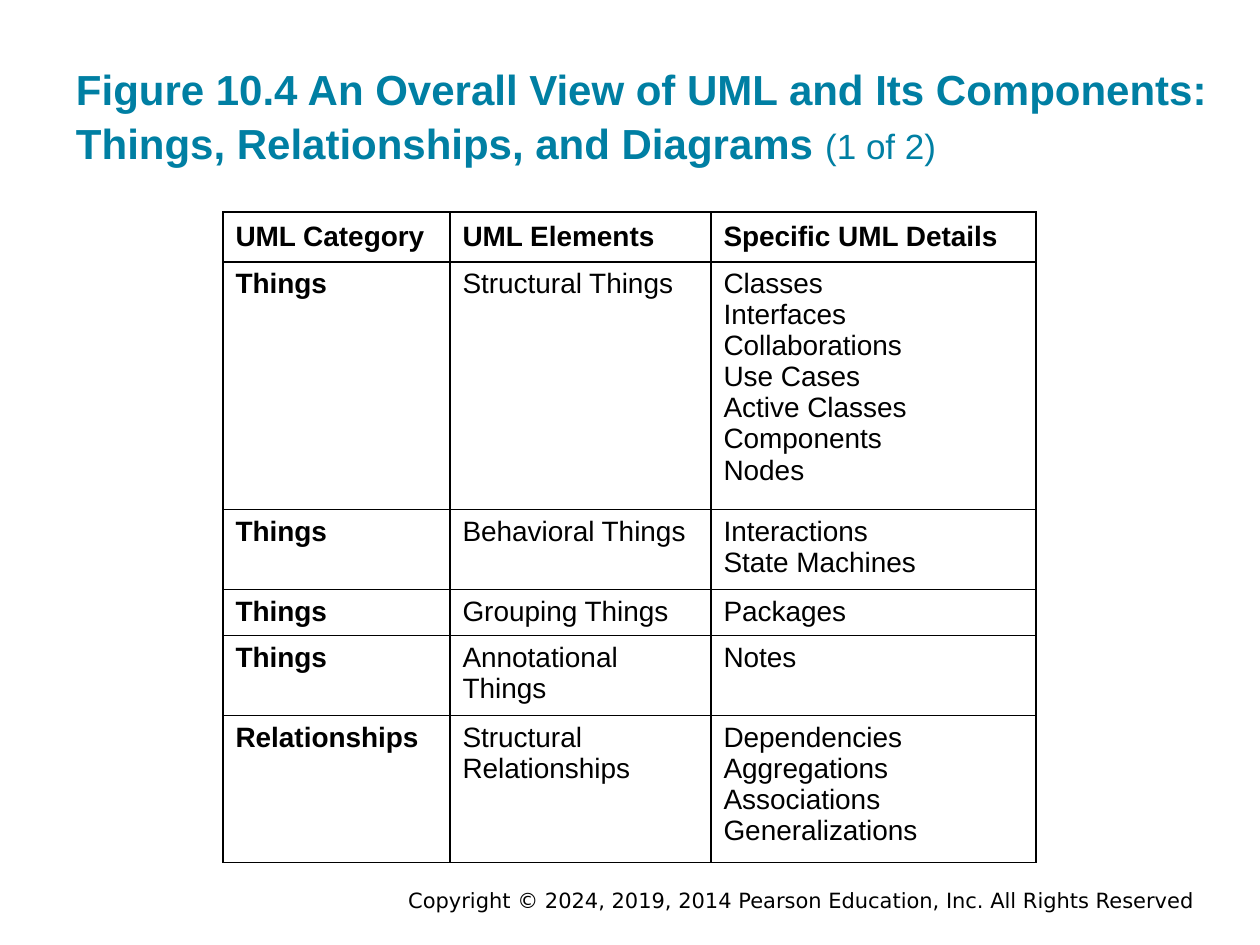
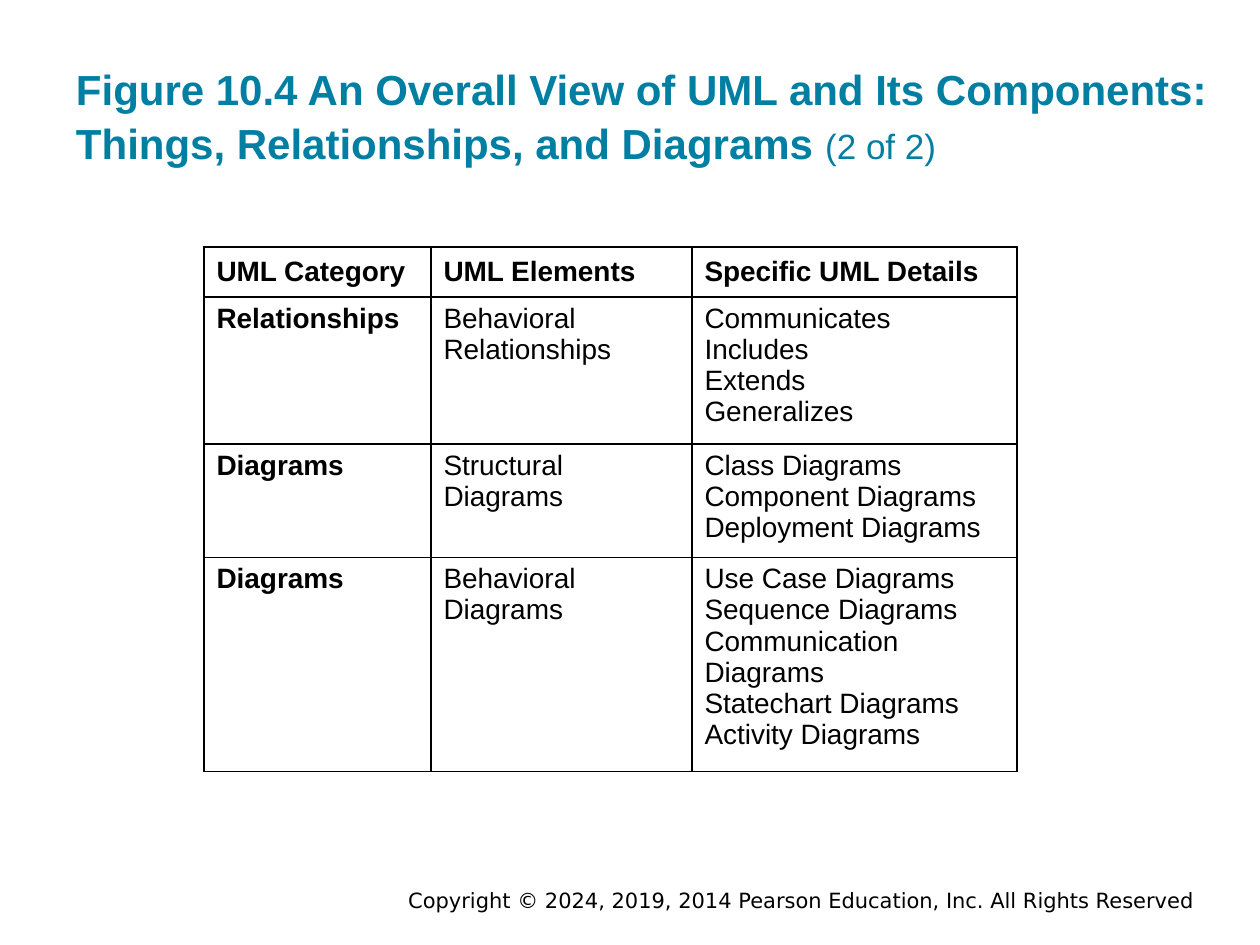
from lxml import etree
from pptx import Presentation
from pptx.dml.color import RGBColor
from pptx.enum.text import MSO_ANCHOR, MSO_AUTO_SIZE, PP_ALIGN
from pptx.oxml.ns import qn
from pptx.util import Pt

LEFT, RIGHT = PP_ALIGN.LEFT, PP_ALIGN.RIGHT
TOP, MIDDLE, BOTTOM = MSO_ANCHOR.TOP, MSO_ANCHOR.MIDDLE, MSO_ANCHOR.BOTTOM
NO_FIT = MSO_AUTO_SIZE.NONE
TITLE_ONLY = 5

TEAL, BLACK, WHITE = "007FA3", "000000", "FFFFFF"
BODY_FONT, FOOTER_FONT = "Arial", "DejaVu Sans"

HEADING = "Figure 10.4 An Overall View of UML and Its Components: Things, Relationships, and Diagrams "
COPYRIGHT = "Copyright © 2024, 2019, 2014 Pearson Education, Inc. All Rights Reserved"
COLUMN_HEADS = ("UML Category", "UML Elements", ["Specific UML Details"])

PAGES = [
    {
        "part": "(1 of 2)",
        "corner": (223, 212),
        "row_heights": [50, 230, 75, 44, 75, 137],
        "rows": [
            ("Things", "Structural Things",
             ["Classes", "Interfaces", "Collaborations", "Use Cases",
              "Active Classes", "Components", "Nodes"]),
            ("Things", "Behavioral Things", ["Interactions", "State Machines"]),
            ("Things", "Grouping Things", ["Packages"]),
            ("Things", "Annotational Things", ["Notes"]),
            ("Relationships", "Structural Relationships",
             ["Dependencies", "Aggregations", "Associations", "Generalizations"]),
        ],
    },
    {
        "part": "(2 of 2)",
        "corner": (204, 247),
        "row_heights": [50, 147, 106, 199],
        "rows": [
            ("Relationships", "Behavioral Relationships",
             ["Communicates", "Includes", "Extends", "Generalizes"]),
            ("Diagrams", "Structural Diagrams",
             ["Class Diagrams", "Component Diagrams", "Deployment Diagrams"]),
            ("Diagrams", "Behavioral Diagrams",
             ["Use Case Diagrams", "Sequence Diagrams", "Communication Diagrams",
              "Statechart Diagrams", "Activity Diagrams"]),
        ],
    },
]

SLIDE_SIZE = (1260, 945)
TITLE_BOX = (63, 30, 1163, 151)
FOOTER_BOX = (220, 886, 987, 28)
COLUMN_WIDTHS = (227, 261, 325)
TITLE_INSET = 13
EMU_PER_PX = 914400 / 126


def px(length):
    return round(length * EMU_PER_PX)


def color(hex_code):
    return RGBColor.from_string(hex_code)


def add_run(paragraph, text, size, hex_code, font_name=BODY_FONT, bold=False):
    run = paragraph.add_run()
    run.text = text
    run.font.name = font_name
    run.font.size = Pt(size)
    run.font.bold = bold
    run.font.color.rgb = color(hex_code)


def add_title(slide, part):
    title = slide.shapes.title
    title.left, title.top, title.width, title.height = map(px, TITLE_BOX)
    frame = title.text_frame
    frame.auto_size = NO_FIT
    frame.word_wrap = True
    frame.vertical_anchor = BOTTOM
    frame.margin_left = frame.margin_right = px(TITLE_INSET)
    frame.margin_top = frame.margin_bottom = px(TITLE_INSET)
    paragraph = frame.paragraphs[0]
    paragraph.alignment = LEFT
    paragraph.line_spacing = 1.07
    add_run(paragraph, HEADING, 24, TEAL, bold=True)
    add_run(paragraph, part, 20, TEAL)


def add_footer(slide):
    frame = slide.shapes.add_textbox(*map(px, FOOTER_BOX)).text_frame
    frame.word_wrap = True
    frame.vertical_anchor = MIDDLE
    paragraph = frame.paragraphs[0]
    paragraph.alignment = RIGHT
    add_run(paragraph, COPYRIGHT, 12, BLACK, FOOTER_FONT)


def outline(cell):
    properties = cell._tc.get_or_add_tcPr()
    for side in ("a:lnL", "a:lnR", "a:lnT", "a:lnB"):
        border = etree.SubElement(properties, qn(side), w=str(Pt(1)))
        fill = etree.SubElement(border, qn("a:solidFill"))
        etree.SubElement(fill, qn("a:srgbClr"), val=BLACK)


def fill_cell(cell, lines, bold, anchor):
    outline(cell)
    cell.fill.solid()
    cell.fill.fore_color.rgb = color(WHITE)
    cell.vertical_anchor = anchor
    frame = cell.text_frame
    for index, line in enumerate(lines):
        paragraph = frame.add_paragraph() if index else frame.paragraphs[0]
        add_run(paragraph, line, 16, BLACK, bold=bold)


def add_uml_table(slide, corner, row_heights, rows):
    size = (sum(COLUMN_WIDTHS), sum(row_heights))
    table = slide.shapes.add_table(
        len(row_heights), len(COLUMN_WIDTHS), *map(px, corner + size)).table
    table.horz_banding = False
    for column, width in zip(table.columns, COLUMN_WIDTHS):
        column.width = px(width)
    for row, height in zip(table.rows, row_heights):
        row.height = px(height)
    for r, (category, element, details) in enumerate([COLUMN_HEADS] + rows):
        for c, lines in enumerate(([category], [element], details)):
            fill_cell(table.cell(r, c), lines, r == 0 or c == 0,
                      TOP if r else MIDDLE)


def main():
    deck = Presentation()
    deck.slide_width, deck.slide_height = map(px, SLIDE_SIZE)
    for page in PAGES:
        slide = deck.slides.add_slide(deck.slide_layouts[TITLE_ONLY])
        add_footer(slide)
        add_title(slide, page["part"])
        add_uml_table(slide, page["corner"], page["row_heights"], page["rows"])
    deck.save("out.pptx")


if __name__ == "__main__":
    main()
